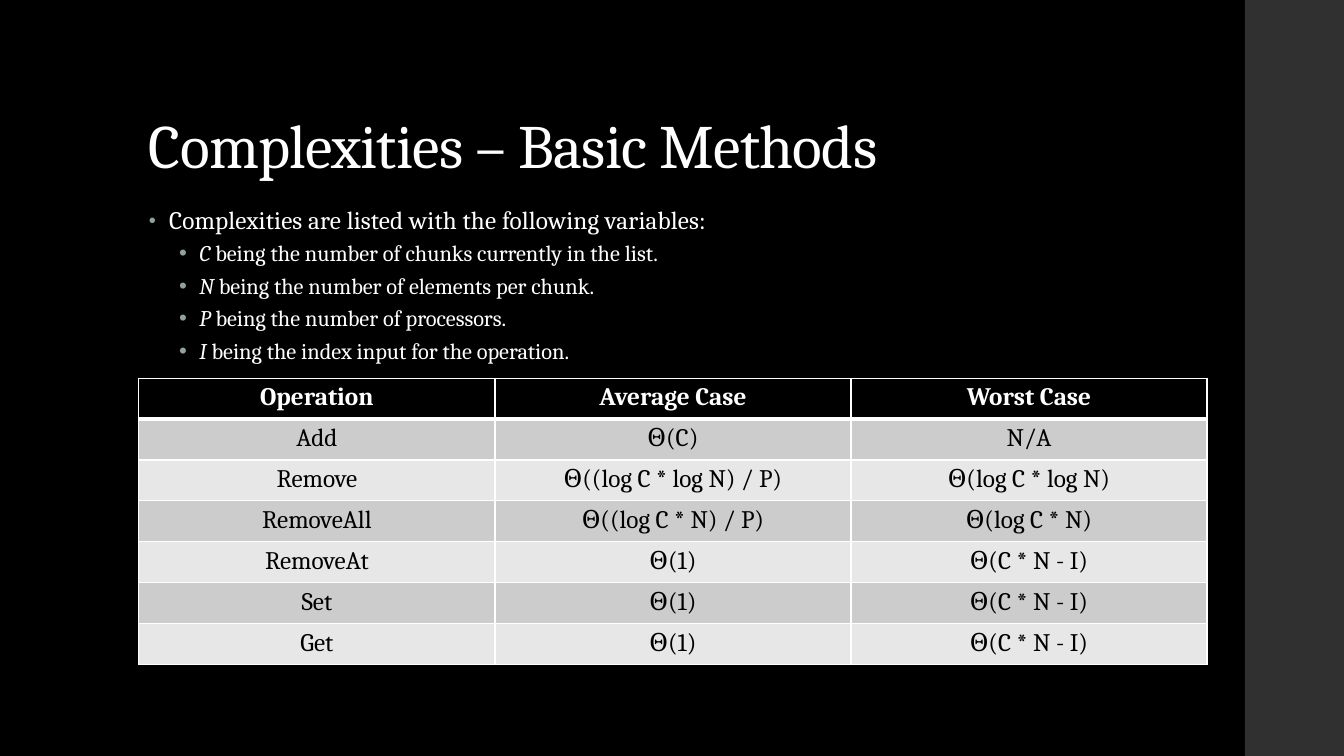
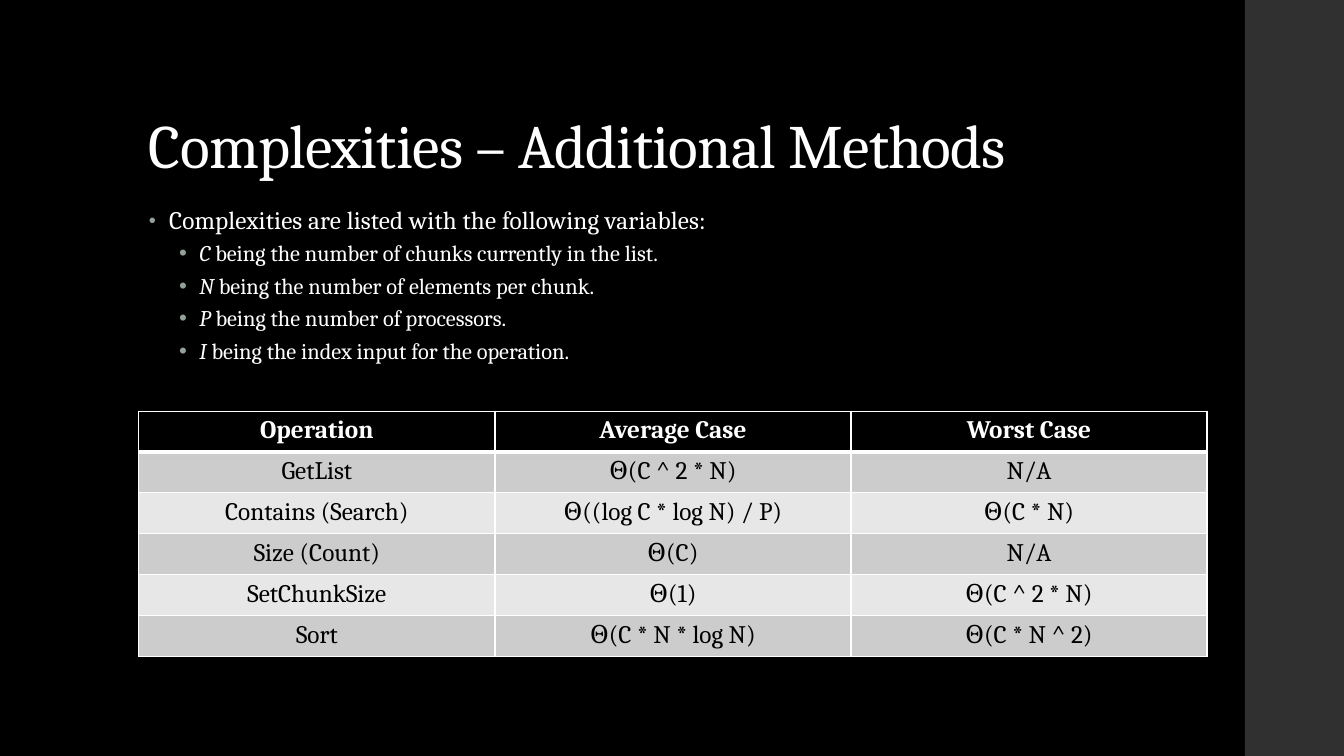
from lxml.etree import SubElement
from pptx import Presentation
from pptx.dml.color import RGBColor
from pptx.enum.shapes import MSO_SHAPE as Shape
from pptx.enum.text import MSO_ANCHOR as Anchor, MSO_AUTO_SIZE as AutoSize, PP_ALIGN as Align
from pptx.oxml.ns import qn
from pptx.util import Cm, Pt

COLORS = {
    "background": "000000",
    "band": "303030",
    "text": "FFFFFF",
    "bullet": "93A299",
    "border": "FFFFFF",
    "header": "000000",
    "cell_text": "000000",
    "odd_row": "CCCCCC",
    "even_row": "E7E7E7",
}
FONT = "Cambria"
LEFT, CONTENT_WIDTH = 3.5, 26.92
SLIDE_WIDTH, SLIDE_HEIGHT = 33.87, 19.05
BAND_LEFT = 31.37
ROW_HEIGHT = 1.03
THIN, THICK = 1, 3

FONTS = {
    "title": {"name": FONT, "size": Pt(44), "bold": False},
    "intro": {"name": FONT, "size": Pt(18)},
    "variable": {"name": FONT, "size": Pt(16)},
    "header": {"name": FONT, "size": Pt(18), "bold": True},
    "cell": {"name": FONT, "size": Pt(18), "bold": False},
}
PARAGRAPHS = {
    "title": {"line_spacing": 0.9, "alignment": Align.LEFT},
    "intro": {"line_spacing": 0.95, "space_before": Pt(14), "space_after": Pt(2)},
    "variable": {"level": 1, "line_spacing": 0.9, "space_before": Pt(3), "space_after": Pt(3)},
    "header": {"alignment": Align.CENTER},
    "cell": {"alignment": Align.CENTER},
}
TRACKING = {"title": -50, "intro": 10}
BULLETS = {"intro": (0.51, 80), "variable": (1.27, 100)}
HANGING = 0.51

INTRO = "Complexities are listed with the following variables:"
VARIABLES = [
    ("C", " being the number of chunks currently in the list."),
    ("N", " being the number of elements per chunk."),
    ("P ", "being the number of processors."),
    ("I", " being the index input for the operation."),
]
HEADINGS = ("Operation", "Average Case", "Worst Case")
BASIC_METHODS = [
    ("Add", "Θ(C)", "N/A"),
    ("Remove", "Θ((log C * log N) / P)", "Θ(log C * log N)"),
    ("RemoveAll", "Θ((log C * N) / P)", "Θ(log C * N)"),
    ("RemoveAt", "Θ(1)", "Θ(C * N - I)"),
    ("Set", "Θ(1)", "Θ(C * N - I)"),
    ("Get", "Θ(1)", "Θ(C * N - I)"),
]
ADDITIONAL_METHODS = [
    ("GetList", "Θ(C ^ 2 * N)", "N/A"),
    ("Contains (Search)", "Θ((log C * log N) / P)", "Θ(C * N)"),
    ("Size (Count)", "Θ(C)", "N/A"),
    ("SetChunkSize", "Θ(1)", "Θ(C ^ 2 * N)"),
    ("Sort", "Θ(C * N * log N)", "Θ(C * N ^ 2)"),
]


def apply(target, values):
    for attribute, value in values.items():
        setattr(target, attribute, value)


def paint(fill, color):
    fill.solid()
    fill.fore_color.rgb = RGBColor.from_string(COLORS[color])


class Deck:
    def __init__(self):
        self.presentation = Presentation()
        apply(self.presentation, {"slide_width": Cm(SLIDE_WIDTH), "slide_height": Cm(SLIDE_HEIGHT)})
        paint(self.presentation.slide_master.background.fill, "background")
        self.slide = None

    def new_slide(self):
        self.slide = self.presentation.slides.add_slide(self.presentation.slide_layouts[1])
        band = self.slide.shapes.add_shape(
            Shape.RECTANGLE, Cm(BAND_LEFT), 0, Cm(SLIDE_WIDTH - BAND_LEFT), Cm(SLIDE_HEIGHT))
        band.shadow.inherit = False
        band.line.fill.background()
        paint(band.fill, "band")

    def place(self, placeholder, top, height, anchor):
        apply(placeholder, {"left": Cm(LEFT), "top": Cm(top),
                            "width": Cm(CONTENT_WIDTH), "height": Cm(height)})
        apply(placeholder.text_frame, {"word_wrap": True, "auto_size": AutoSize.NONE,
                                       "vertical_anchor": anchor})
        return placeholder.text_frame

    def add_text(self, paragraph, role, text, color="text", **extra):
        apply(paragraph, PARAGRAPHS[role])
        run = paragraph.add_run()
        run.text = text
        apply(run.font, {**FONTS[role], **extra})
        run.font.color.rgb = RGBColor.from_string(COLORS[color])
        run.font._element.set("spc", str(TRACKING.get(role, 0)))

    def bullet(self, paragraph, role):
        indent, percent = BULLETS[role]
        properties = paragraph._p.get_or_add_pPr()
        properties.set("marL", str(Cm(indent)))
        properties.set("indent", str(-Cm(HANGING)))
        color = SubElement(properties, qn("a:buClr"))
        SubElement(color, qn("a:srgbClr"), val=COLORS["bullet"])
        SubElement(properties, qn("a:buSzPct"), val=str(percent * 1000))
        SubElement(properties, qn("a:buFont"), typeface="Arial")
        SubElement(properties, qn("a:buChar"), char="•")

    def title(self, text):
        frame = self.place(self.slide.shapes.title, 1.02, 3.68, Anchor.BOTTOM)
        self.add_text(frame.paragraphs[0], "title", text)

    def variable_list(self):
        frame = self.place(self.slide.placeholders[1], 5.08, 12.09, Anchor.TOP)
        intro = frame.paragraphs[0]
        self.add_text(intro, "intro", INTRO)
        self.bullet(intro, "intro")
        for symbol, meaning in VARIABLES:
            paragraph = frame.add_paragraph()
            self.add_text(paragraph, "variable", symbol, italic=True)
            self.add_text(paragraph, "variable", meaning, italic=False)
            self.bullet(paragraph, "variable")

    def borders(self, cell, top, bottom):
        properties = cell._tc.get_or_add_tcPr()
        for side, width in (("L", THIN), ("R", THIN), ("T", top), ("B", bottom)):
            line = SubElement(properties, qn(f"a:ln{side}"), w=str(Pt(width)))
            fill = SubElement(line, qn("a:solidFill"))
            SubElement(fill, qn("a:srgbClr"), val=COLORS["border"])

    def complexity_table(self, top, methods):
        rows = [HEADINGS, *methods]
        table = self.slide.shapes.add_table(
            len(rows), len(HEADINGS), Cm(LEFT), Cm(top),
            Cm(CONTENT_WIDTH), Cm(ROW_HEIGHT * len(rows))).table
        for column in table.columns:
            column.width = Cm(CONTENT_WIDTH / len(HEADINGS))
        for index, values in enumerate(rows):
            table.rows[index].height = Cm(ROW_HEIGHT)
            if index == 0:
                role, color, background = "header", "text", "header"
            else:
                role, color = "cell", "cell_text"
                background = "odd_row" if index % 2 else "even_row"
            for cell, text in zip(table.rows[index].cells, values):
                self.borders(cell, THICK if index == 1 else THIN, THICK if index == 0 else THIN)
                paint(cell.fill, background)
                self.add_text(cell.text_frame.paragraphs[0], role, text, color)


def main():
    deck = Deck()
    for title, table_top, methods in (
        ("Complexities – Basic Methods", 9.53, BASIC_METHODS),
        ("Complexities – Additional Methods", 10.36, ADDITIONAL_METHODS),
    ):
        deck.new_slide()
        deck.title(title)
        deck.variable_list()
        deck.complexity_table(table_top, methods)
    deck.presentation.save("out.pptx")


if __name__ == "__main__":
    main()
